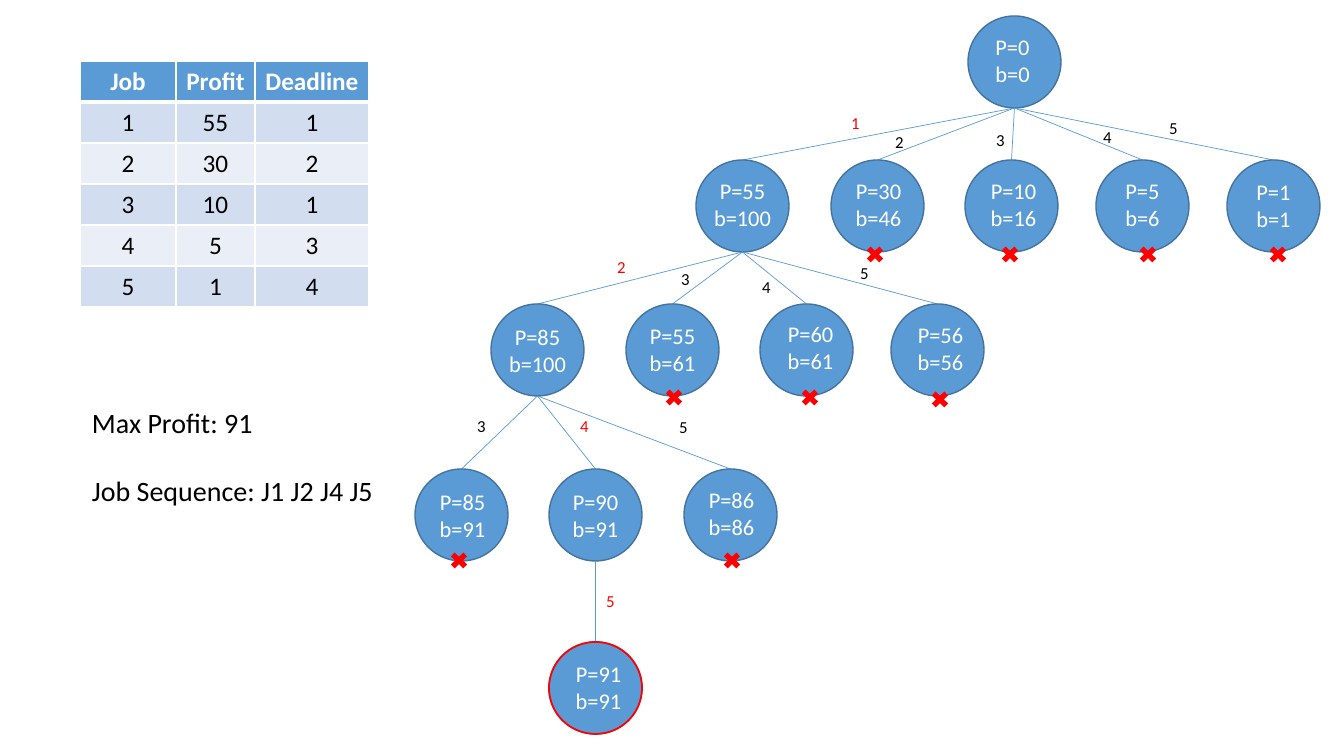
import pptx
import pptx.util
import pptx.dml.color
import pptx.enum.shapes
import pptx.enum.text
import pptx.oxml
import pptx.oxml.ns
import lxml.etree

SCALE = 914400 / 100.8
FONT = "Calibri"
COLOURS = {
    "blue": "5B9BD5", "outline": "43739E", "band": "D2DEEF", "pale": "EAEFF7",
    "white": "FFFFFF", "black": "000000", "red": "FF0000",
}
ALIGN = pptx.enum.text.PP_ALIGN
SHAPES = pptx.enum.shapes.MSO_SHAPE
NODE_WIDTH, NODE_HEIGHT = 93, 92
LEVEL_TOPS = [0, 144, 288, 453, 626]

JOBS = [
    ("Job", "Profit", "Deadline"),
    (1, 55, 1), (2, 30, 2), (3, 10, 1), (4, 5, 3), (5, 1, 4),
]
SUMMARY = ["Max Profit: 91", "Job Sequence: J1 J2 J4 J5"]

NODES = {
    "root": (None, 0, 553, 0, 0, (-2, 12), None, None, None),
    "1": ("root", 1, 281, 55, 100, (0, 12), "1", (426, 92), None),
    "2": ("root", 1, 416, 30, 46, (1, 12), "2", (470, 111), (32, 83)),
    "3": ("root", 1, 550, 10, 16, (2, 12), "3", (571, 109), (33, 83)),
    "4": ("root", 1, 681, 5, 6, (0, 12), "4", (678, 106), (40, 83)),
    "5": ("root", 1, 812, 1, 1, (0, 13), "5", (744, 97), (39, 83)),
    "12": ("1", 2, 76, 85, 100, (0, 14), "2", (192, 236), None),
    "13": ("1", 2, 211, 55, 61, (0, 13), "3", (256, 248), (36, 82)),
    "14": ("1", 2, 345, 60, 61, (4, 11), "4", (337, 256), (38, 82)),
    "15": ("1", 2, 476, 56, 56, (3, 12), "5", (435, 242), (37, 84)),
    "123": ("12", 3, 0, 85, 91, (1, 14), "3", (52, 395), (32, 80)),
    "124": ("12", 3, 134, 90, 91, (0, 14), "4", (155, 395), None),
    "125": ("12", 3, 269, 86, 86, (1, 12), "5", (254, 396), (36, 80)),
    "1245": ("124", 4, 134, 91, 91, (3, 13), "5", (181, 570), None),
}
BEST = "1245"


def px(length):
    return pptx.util.Emu(round(length * SCALE))


def colour(name):
    return pptx.dml.color.RGBColor.from_string(COLOURS[name])


def add_span(para, words, size, tint, bold=False):
    span = para.add_run()
    span.text = words
    span.font.name = FONT
    span.font.size = pptx.util.Pt(size)
    span.font.bold = bold
    span.font.color.rgb = colour(tint)


def add_text(page, box, lines, size, tint):
    frame = page.shapes.add_textbox(*map(px, box)).text_frame
    frame.word_wrap = False
    para = frame.paragraphs[0]
    para.alignment = ALIGN.CENTER
    for index, words in enumerate(lines):
        if index:
            para.add_line_break()
        add_span(para, words, size, tint)


def add_mark(page, kind, box, fill=None, line=None, weight=1):
    mark = page.shapes.add_shape(kind, *map(px, box))
    mark.shadow.inherit = False
    if fill:
        mark.fill.solid()
        mark.fill.fore_color.rgb = colour(fill)
    else:
        mark.fill.background()
    if line:
        mark.line.color.rgb = colour(line)
        mark.line.width = pptx.util.Pt(weight)
    else:
        mark.line.fill.background()


def add_edge(page, start, end):
    edge = page.shapes.add_connector(
        pptx.enum.shapes.MSO_CONNECTOR.STRAIGHT, *map(px, start + end))
    edge.line.color.rgb = colour("blue")
    edge.line.width = pptx.util.Pt(0.5)
    lxml.etree.SubElement(edge._element.spPr, pptx.oxml.ns.qn("a:effectLst"))


def set_borders(cell, bottom):
    properties = cell._tc.get_or_add_tcPr()
    weights = {"lnL": 1, "lnR": 1, "lnT": 1, "lnB": bottom}
    for index, (side, weight) in enumerate(weights.items()):
        border = pptx.oxml.parse_xml(
            f'<a:{side} {pptx.oxml.ns.nsdecls("a")} w="{weight * 12700}"><a:solidFill>'
            f'<a:srgbClr val="{COLOURS["white"]}"/></a:solidFill></a:{side}>')
        properties.insert(index, border)


def add_job_table(page, box, widths):
    table = page.shapes.add_table(len(JOBS), len(widths), *map(px, box)).table
    table.first_row = False
    table.horz_banding = False
    for column, width in zip(table.columns, widths):
        column.width = px(width)
    for row_index, values in enumerate(JOBS):
        header = row_index == 0
        fill = "blue" if header else ("band" if row_index % 2 else "pale")
        for column_index, value in enumerate(values):
            cell = table.cell(row_index, column_index)
            cell.margin_left = cell.margin_right = px(4)
            cell.fill.solid()
            cell.fill.fore_color.rgb = colour(fill)
            set_borders(cell, 3 if header else 1)
            para = cell.text_frame.paragraphs[0]
            para.alignment = ALIGN.CENTER
            add_span(para, str(value), 18, "white" if header else "black", header)


def add_summary(page, box):
    frame = page.shapes.add_textbox(*map(px, box)).text_frame
    frame.word_wrap = True
    for index, words in enumerate(SUMMARY):
        para = frame.add_paragraph() if index else frame.paragraphs[0]
        para.space_after = pptx.util.Pt(24)
        add_span(para, words, 20, "black")


def add_tree(page, box):
    left, top, width, height = box
    corners = {key: (left + node[2], top + LEVEL_TOPS[node[1]])
               for key, node in NODES.items()}
    for key, (parent, level, offset, profit, bound, shift, job, place, cross) in NODES.items():
        x, y = corners[key]
        middle = x + NODE_WIDTH / 2
        circle = (x, y, NODE_WIDTH, NODE_HEIGHT)
        if parent:
            above_x, above_y = corners[parent]
            add_edge(page, (above_x + NODE_WIDTH / 2, above_y + NODE_HEIGHT), (middle, y))
            tint = "red" if BEST.startswith(key) else "black"
            add_text(page, (left + place[0], top + place[1], 29, 30), [job], 12, tint)
        add_mark(page, SHAPES.OVAL, circle, "blue", "outline")
        add_text(page, (middle + shift[0] - 39, y + shift[1], 78, 65),
                 [f"P={profit}", f"b={bound}"], 16, "white")
        if cross:
            add_mark(page, SHAPES.MATH_MULTIPLY, (x + cross[0], y + cross[1], 24, 23), "red")
        if key == BEST:
            add_mark(page, SHAPES.OVAL, circle, line="red", weight=1.25)


deck = pptx.Presentation()
deck.slide_width, deck.slide_height = px(1344), px(756)
page = deck.slides.add_slide(deck.slide_layouts[6])
add_job_table(page, (80, 61, 289, 246), [96, 79, 114])
add_summary(page, (82, 401, 320, 179))
add_tree(page, (415, 16, 904, 718))
deck.save("out.pptx")
